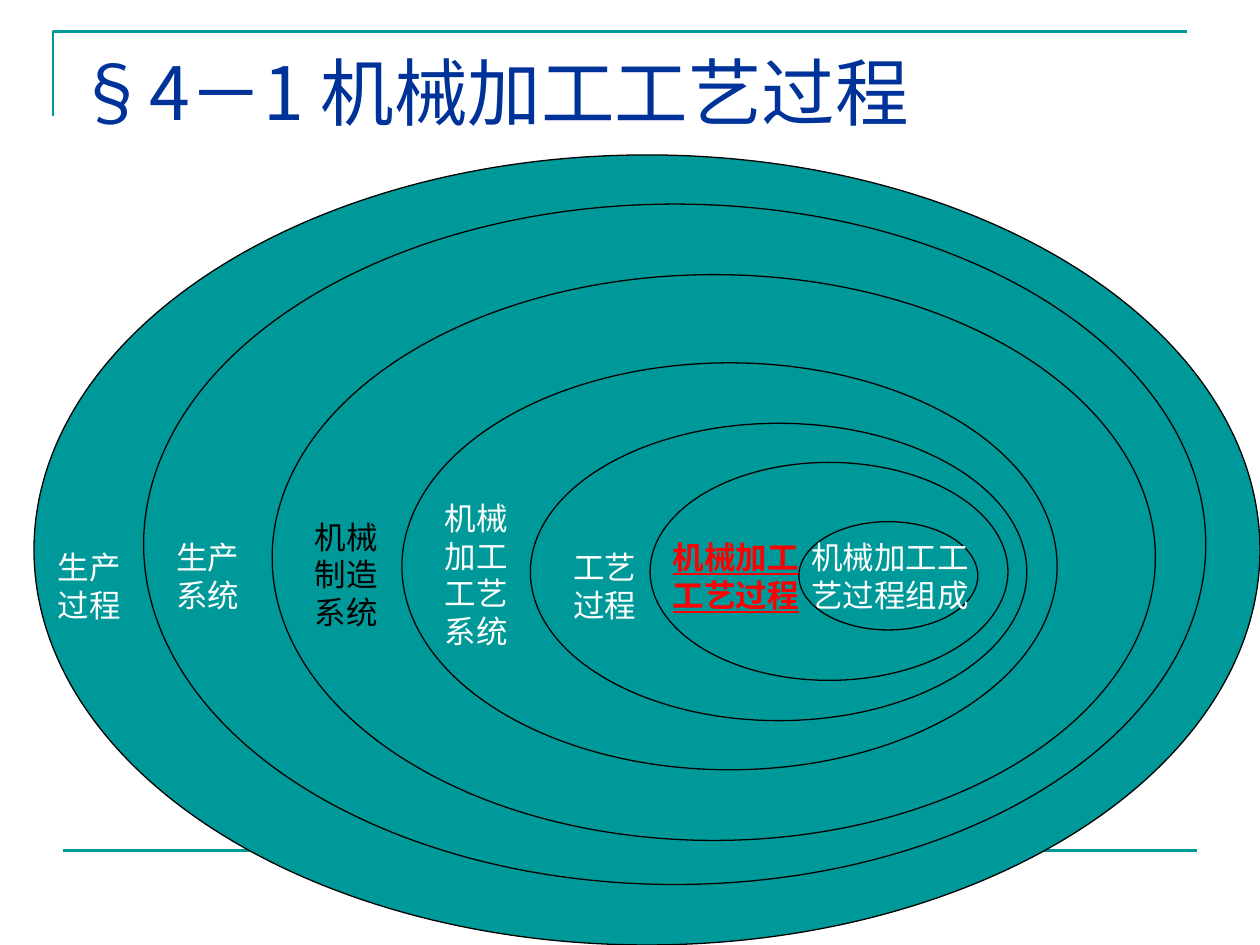
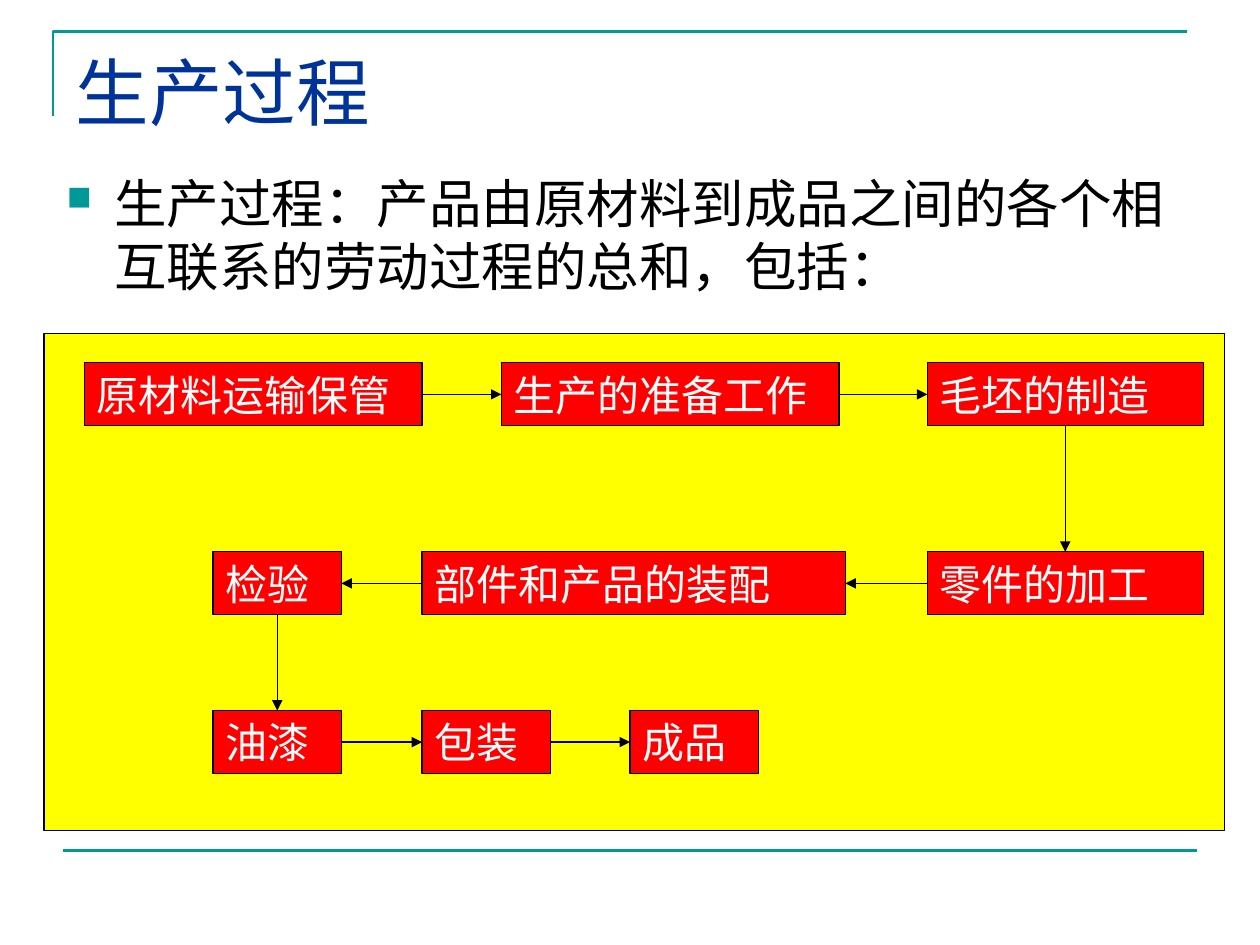
"""Build two slides on the machining process and the production process."""
from itertools import pairwise

from lxml.etree import SubElement
from pptx import Presentation
from pptx.dml.color import RGBColor
from pptx.enum.lang import MSO_LANGUAGE_ID
from pptx.enum.shapes import MSO_CONNECTOR, MSO_SHAPE
from pptx.enum.text import MSO_ANCHOR, MSO_AUTO_SIZE, PP_ALIGN
from pptx.oxml.ns import qn
from pptx.util import Inches, Pt

COLORS = {"teal": "009999", "navy": "003399", "black": "000000",
          "white": "FFFFFF", "red": "FF0000", "yellow": "FFFF00"}
CJK_FONT = "Noto Sans CJK SC"
TITLE_FORMAT = {"name": CJK_FONT, "size": Pt(42), "color": "navy"}
BODY_FORMAT = {"name": CJK_FONT, "size": Pt(30), "color": "black"}
STEP_FORMAT = {"name": "Arial", "size": Pt(24), "color": "white"}
LABEL_FORMAT = {"name": "Arial", "size": Pt(18), "color": "white"}
BLACK_LABEL = LABEL_FORMAT | {"color": "black"}
KEY_LABEL = LABEL_FORMAT | {"color": "red", "bold": True, "underline": True}

RINGS_TITLE = "§4－1 机械加工工艺过程"
RINGS = [
    ((0.27, 1.23, 9.73, 6.27), (0.36, 4.3), ["生产", "过程"], LABEL_FORMAT),
    ((1.14, 1.62, 8.43, 5.4), (1.3, 4.22), ["生产", "系统"], LABEL_FORMAT),
    ((2.16, 2.18, 7.01, 4.49), (2.4, 4.06), ["机械", "制造", "系统"], BLACK_LABEL),
    ((3.19, 2.88, 5.2, 3.23), (3.43, 3.91), ["机械", "加工", "工艺", "系统"], LABEL_FORMAT),
    ((4.21, 3.36, 3.94, 2.36), (4.45, 4.3), ["工艺", "过程"], LABEL_FORMAT),
    ((5.16, 3.67, 2.84, 1.73), (5.24, 4.22), ["机械加工", "工艺过程"], KEY_LABEL),
    ((6.34, 4.14, 1.42, 0.86), (6.34, 4.22), ["机械加工工", "艺过程组成"], LABEL_FORMAT),
]

FLOW_TITLE = "生产过程"
FLOW_TEXT = "生产过程：产品由原材料到成品之间的各个相互联系的劳动过程的总和，包括："
FLOW_PANEL = (0.35, 2.65, 9.37, 3.94)
STEP_HEIGHT = 0.5
FLOW_ROWS = [
    (2.88, [("原材料运输保管", 0.67, 2.68), ("生产的准备工作", 3.98, 2.68),
            ("毛坯的制造", 7.36, 2.19)]),
    (4.38, [("零件的加工", 7.36, 2.19), ("部件和产品的装配", 3.35, 3.36),
            ("检验", 1.69, 1.02)]),
    (5.64, [("油漆", 1.69, 1.02), ("包装", 3.35, 1.02), ("成品", 5, 1.02)]),
]
TOP, LEFT, BOTTOM, RIGHT = range(4)


def rgb(color):
    return RGBColor.from_string(COLORS[color])


def set_line(item, color, width):
    item.line.color.rgb = rgb(color)
    item.line.width = Pt(width)


def write(frame, lines, font_format):
    frame.text = "\n".join(lines)
    for para in frame.paragraphs:
        para.alignment = PP_ALIGN.LEFT
        for span in para.runs:
            for key, value in font_format.items():
                if key == "color":
                    span.font.color.rgb = rgb(value)
                else:
                    setattr(span.font, key, value)
            span.font.language_id = MSO_LANGUAGE_ID.SIMPLIFIED_CHINESE
            SubElement(span.font._element, qn("a:ea"), typeface=CJK_FONT)


def add_shape(page, kind, place, fill):
    shape = page.shapes.add_shape(kind, *map(Inches, place))
    shape.shadow.inherit = False
    shape.fill.solid()
    shape.fill.fore_color.rgb = rgb(fill)
    set_line(shape, "black", 0.75)
    return shape


def add_line(page, start, end, color, width):
    line = page.shapes.add_connector(MSO_CONNECTOR.STRAIGHT, *map(Inches, start + end))
    set_line(line, color, width)
    SubElement(line._element.spPr, qn("a:effectLst"))
    return line


def add_page(deck, title_text):
    page = deck.slides.add_slide(deck.slide_layouts[5])
    outline = page.shapes.build_freeform(Inches(0.42), Inches(0.92))
    outline.add_line_segments([(Inches(0.42), Inches(0.25)),
                               (Inches(9.42), Inches(0.25))], close=False)
    corner = outline.convert_to_shape()
    corner.shadow.inherit = False
    corner.fill.background()
    set_line(corner, "teal", 1.5)
    add_line(page, (0.5, 6.75), (9.5, 6.75), "teal", 1.5)
    title = page.shapes.title
    title.left, title.top, title.width, title.height = map(Inches, (0.5, 0.3, 9, 0.85))
    title.text_frame.auto_size = MSO_AUTO_SIZE.NONE
    title.text_frame.vertical_anchor = MSO_ANCHOR.MIDDLE
    write(title.text_frame, [title_text], TITLE_FORMAT)
    return page


def add_label(page, corner, lines, font_format):
    size = (0.2 + 0.25 * len(lines[0]), 0.1 + 0.3 * len(lines))
    label = page.shapes.add_textbox(*map(Inches, corner + size))
    label.text_frame.word_wrap = False
    label.text_frame.auto_size = MSO_AUTO_SIZE.SHAPE_TO_FIT_TEXT
    write(label.text_frame, lines, font_format)


def add_bullet_text(page):
    box = page.shapes.add_textbox(*map(Inches, (0.43, 1.31, 9, 4.95)))
    box.text_frame.word_wrap = True
    write(box.text_frame, [FLOW_TEXT], BODY_FORMAT)
    properties = box.text_frame.paragraphs[0]._p.get_or_add_pPr()
    properties.set("marL", str(Inches(0.38)))
    properties.set("indent", str(-Inches(0.38)))
    bullet_color = SubElement(properties, qn("a:buClr"))
    SubElement(bullet_color, qn("a:srgbClr"), val=COLORS["teal"])
    SubElement(properties, qn("a:buSzPct"), val="65000")
    SubElement(properties, qn("a:buChar"), char="■")


def add_step(page, text, place):
    step = add_shape(page, MSO_SHAPE.RECTANGLE, place, "red")
    step.text_frame.word_wrap = True
    step.text_frame.vertical_anchor = MSO_ANCHOR.TOP
    write(step.text_frame, [text], STEP_FORMAT)
    return step


def join_steps(page, source, target):
    if source.top != target.top:
        sides = BOTTOM, TOP
    elif source.left < target.left:
        sides = RIGHT, LEFT
    else:
        sides = LEFT, RIGHT
    arrow = add_line(page, (0, 0), (1, 1), "black", 0.75)
    arrow.begin_connect(source, sides[0])
    arrow.end_connect(target, sides[1])
    SubElement(arrow.line._get_or_add_ln(), qn("a:tailEnd"), type="triangle")


def build_rings(deck):
    page = add_page(deck, RINGS_TITLE)
    for place, corner, lines, font_format in RINGS:
        add_shape(page, MSO_SHAPE.OVAL, place, "teal")
        add_label(page, corner, lines, font_format)


def build_flow(deck):
    page = add_page(deck, FLOW_TITLE)
    add_shape(page, MSO_SHAPE.RECTANGLE, FLOW_PANEL, "yellow")
    add_bullet_text(page)
    steps = [add_step(page, text, (left, top, width, STEP_HEIGHT))
             for top, row in FLOW_ROWS for text, left, width in row]
    for source, target in pairwise(steps):
        join_steps(page, source, target)


def main():
    deck = Presentation()
    deck.slide_width, deck.slide_height = Inches(10), Inches(7.5)
    build_rings(deck)
    build_flow(deck)
    deck.save("out.pptx")


if __name__ == "__main__":
    main()
